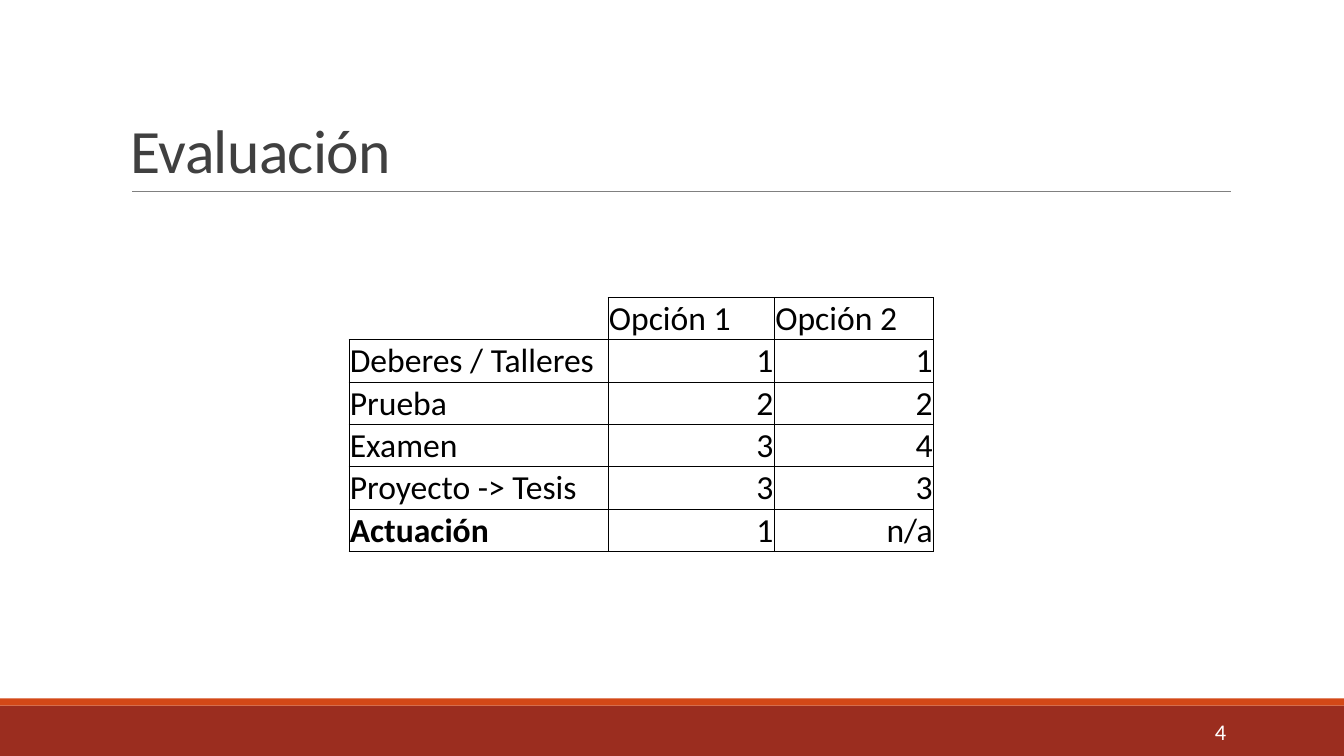
"""Builds the course evaluation slide with its table of grading options."""
from lxml.etree import SubElement
from pptx import Presentation
from pptx.dml.color import RGBColor
from pptx.enum.shapes import MSO_CONNECTOR, MSO_SHAPE
from pptx.enum.text import MSO_ANCHOR as ANCHOR, PP_ALIGN as ALIGN
from pptx.oxml.ns import qn
from pptx.util import Inches, Pt

TITLE = "Evaluación"
PAGE_NUMBER = "4"
GRADES = [
    ("", "Opción 1", "Opción 2"),
    ("Deberes / Talleres", "1", "1"),
    ("Prueba", "2", "2"),
    ("Examen", "3", "4"),
    ("Proyecto -> Tesis", "3", "3"),
    ("Actuación", "1", "n/a"),
]
BOLD_LABEL = "Actuación"
COLUMN_WIDTHS = (2.57, 1.65, 1.58)
ROW_HEIGHT = 0.42

FONT = "Calibri"
BLACK = RGBColor(0x00, 0x00, 0x00)
WHITE = RGBColor(0xFF, 0xFF, 0xFF)
DARK_GRAY = RGBColor(0x40, 0x40, 0x40)
RULE_GRAY = RGBColor(0x80, 0x80, 0x80)
ORANGE = RGBColor(0xD3, 0x48, 0x17)
BRICK = RGBColor(0x9B, 0x2D, 0x1F)
BANDS = [(7, 0.5, BRICK), (6.93, 0.07, ORANGE)]


def style(para, size, color, align=ALIGN.LEFT, bold=False):
    para.alignment = align
    for span in para.runs:
        span.font.name = FONT
        span.font.size = Pt(size)
        span.font.color.rgb = color
        span.font.bold = bold


def add_band(page, top, height, color):
    band = page.shapes.add_shape(
        MSO_SHAPE.RECTANGLE, 0, Inches(top), Inches(13.33), Inches(height))
    band.shadow.inherit = False
    band.fill.solid()
    band.fill.fore_color.rgb = color
    band.line.fill.background()


def add_text(page, text, place, anchor, size, color, align=ALIGN.LEFT):
    box = page.shapes.add_textbox(*map(Inches, place))
    frame = box.text_frame
    frame.word_wrap = True
    frame.vertical_anchor = anchor
    frame.text = text
    style(frame.paragraphs[0], size, color, align)
    return frame.paragraphs[0]


def add_rule(page):
    rule = page.shapes.add_connector(
        MSO_CONNECTOR.STRAIGHT, Inches(1.31), Inches(1.9), Inches(12.21), Inches(1.9))
    rule.line.color.rgb = RULE_GRAY
    rule.line.width = Pt(0.5)
    SubElement(rule._element.spPr, qn("a:effectLst"))


def draw_borders(cell, visible):
    properties = cell._tc.get_or_add_tcPr()
    for side in "LRTB":
        border = SubElement(properties, qn(f"a:ln{side}"), w=str(Pt(0.5)))
        if side in visible:
            fill = SubElement(border, qn("a:solidFill"))
            SubElement(fill, qn("a:srgbClr"), val=str(BLACK))
        else:
            SubElement(border, qn("a:noFill"))


def add_grades(page):
    grades = page.shapes.add_table(
        len(GRADES), len(COLUMN_WIDTHS), Inches(3.46), Inches(2.95),
        Inches(sum(COLUMN_WIDTHS)), Inches(ROW_HEIGHT * len(GRADES))).table
    grades.first_row = grades.horz_banding = False
    for column, width in zip(grades.columns, COLUMN_WIDTHS):
        column.width = Inches(width)
    for r, values in enumerate(GRADES):
        grades.rows[r].height = Inches(ROW_HEIGHT)
        for c, value in enumerate(values):
            cell = grades.cell(r, c)
            cell.margin_left = cell.margin_right = cell.margin_top = Inches(0.01)
            cell.margin_bottom = 0
            cell.vertical_anchor = ANCHOR.BOTTOM
            draw_borders(cell, "LRTB" if value else "RB")
            cell.fill.background()
            if value:
                cell.text_frame.text = value
                align = ALIGN.RIGHT if r and c else ALIGN.LEFT
                style(cell.text_frame.paragraphs[0], 24, BLACK, align, value == BOLD_LABEL)


def main():
    deck = Presentation()
    deck.slide_width, deck.slide_height = Inches(13.33), Inches(7.5)
    page = deck.slides.add_slide(deck.slide_layouts[6])
    for top, height, color in BANDS:
        add_band(page, top, height, color)
    add_rule(page)
    title = add_text(page, TITLE, (1.2, 0.31, 11, 1.59), ANCHOR.BOTTOM, 44, DARK_GRAY)
    title.line_spacing = 0.85
    title.runs[0].font._element.set("spc", "-50")
    add_text(page, PAGE_NUMBER, (10.83, 7.06, 1.43, 0.4), ANCHOR.MIDDLE, 16, WHITE, ALIGN.RIGHT)
    add_grades(page)
    deck.save("out.pptx")


if __name__ == "__main__":
    main()
